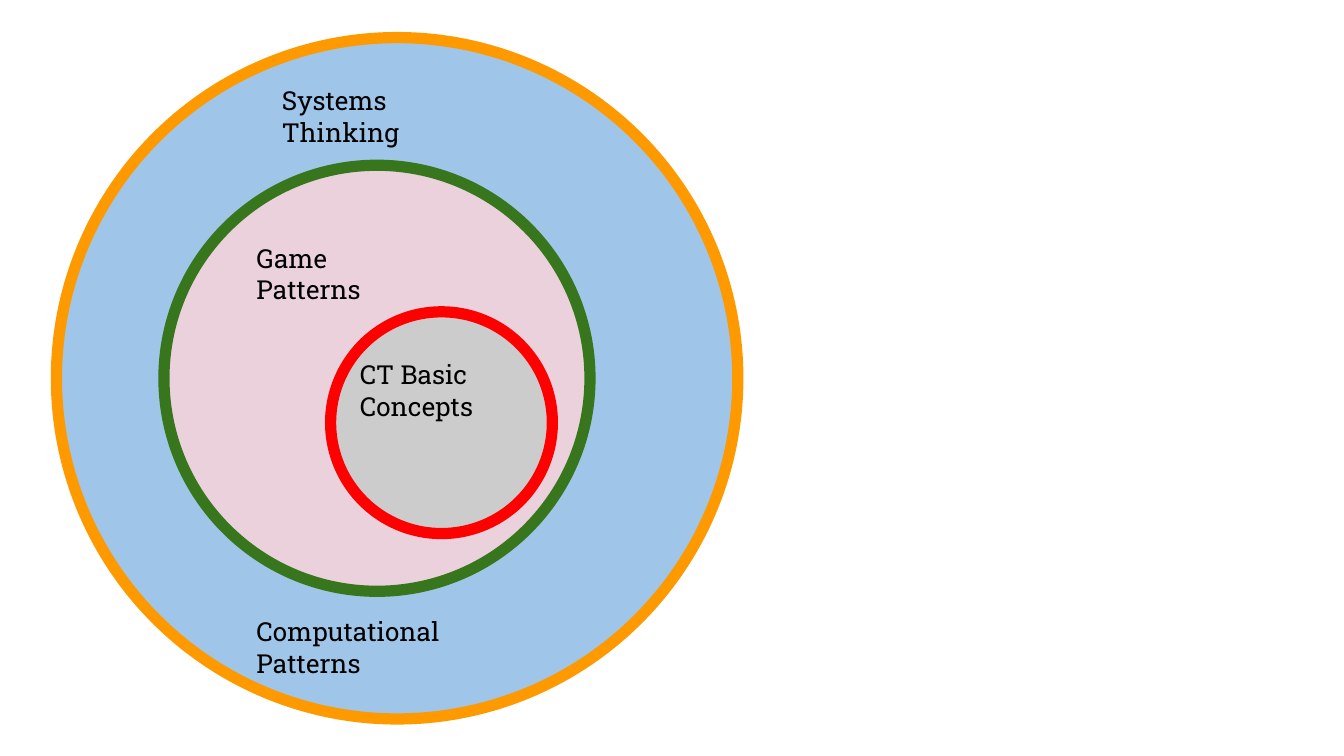
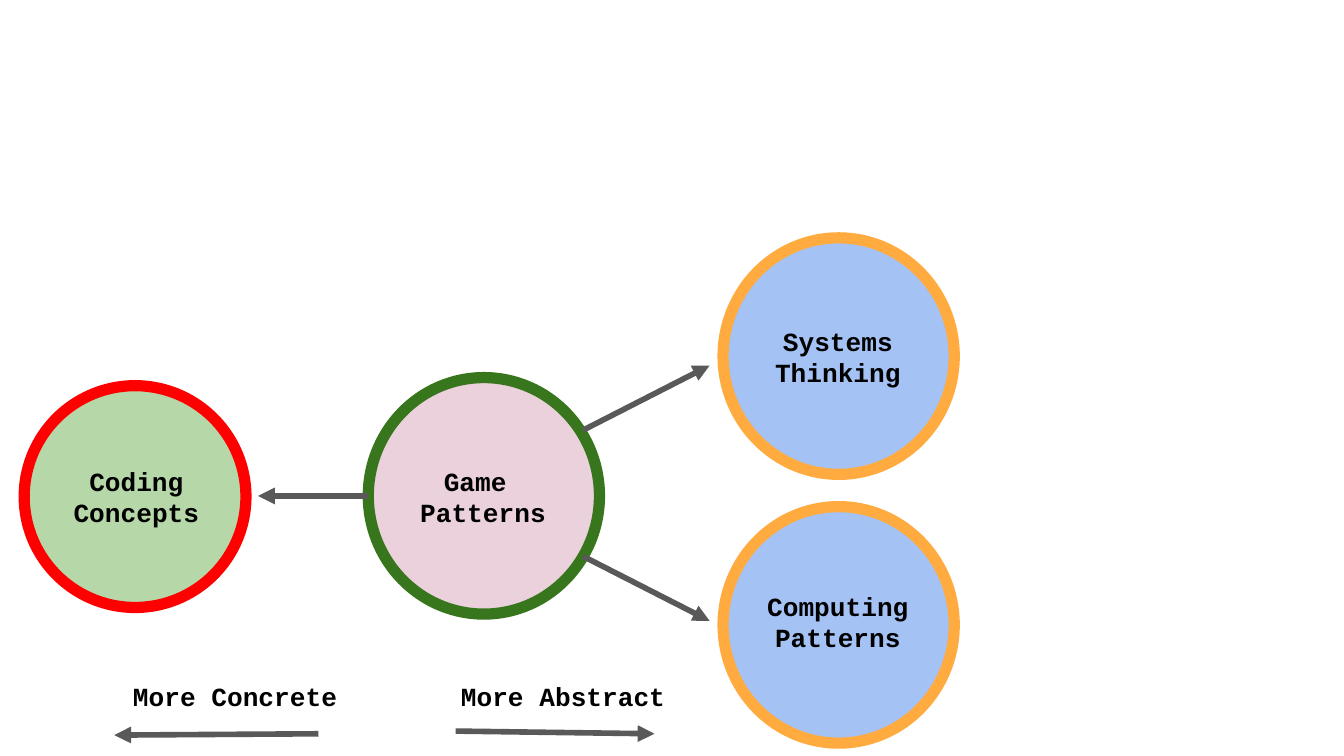
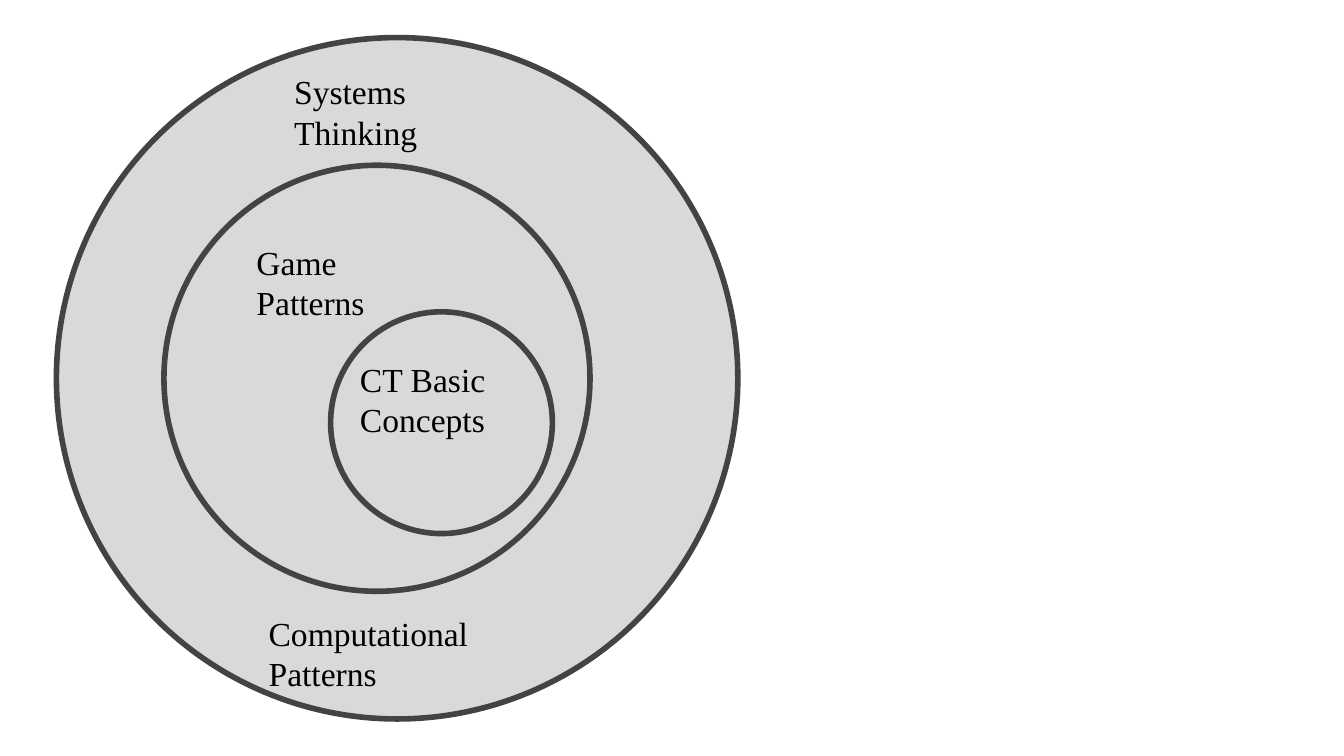
"""Build three slides on layers of computational thinking."""
from lxml import etree
from pptx import Presentation
from pptx.dml.color import RGBColor
from pptx.enum.shapes import MSO_CONNECTOR, MSO_SHAPE
from pptx.enum.text import MSO_ANCHOR, PP_ALIGN
from pptx.oxml.ns import qn
from pptx.util import Inches, Pt

OVAL, RECT = MSO_SHAPE.OVAL, MSO_SHAPE.RECTANGLE
LINE, TOP = MSO_CONNECTOR.STRAIGHT, MSO_ANCHOR.TOP
LEFT, CENTER = PP_ALIGN.LEFT, PP_ALIGN.CENTER

WIDE = 10
HIGH = WIDE * 9 / 16
HEX = {
    "black": "000000", "sky": "9FC5E8", "pink": "EAD1DC", "gray": "CCCCCC",
    "orange": "FF9900", "green": "38761D", "red": "FF0000", "leaf": "B6D7A8",
    "blue": "A4C2F4", "amber": "FFAB40", "slate": "595959",
    "pale": "D9D9D9", "dark": "434343",
}
SLAB = {"name": "Roboto Slab", "size": Pt(14)}
MONO = {"name": "Courier New", "size": Pt(14), "bold": True}
SERIF = {"name": "Times New Roman", "size": Pt(18)}

INSET = Inches(0.1)
FRAME = {
    "word_wrap": True, "vertical_anchor": TOP,
    "margin_left": INSET, "margin_right": INSET,
    "margin_top": INSET, "margin_bottom": INSET,
}
NEST = [(0.42, 0.28, 5.07), (1.22, 1.23, 3.17), (2.46, 2.32, 1.65)]
NODE = (1.72, 1.76)


def tint(name):
    """Return the named colour."""
    return RGBColor.from_string(HEX[name])


def apply(target, values):
    """Set each format value on the target."""
    for key, value in values.items():
        setattr(target, key, value)


def ring(shapes, box, fill, edge, width=6):
    """Add a filled circle with a coloured edge."""
    oval = shapes.add_shape(OVAL, *map(Inches, box))
    oval.shadow.inherit = False
    oval.fill.solid()
    oval.fill.fore_color.rgb = tint(fill)
    oval.line.color.rgb = tint(edge)
    oval.line.width = Pt(width)


def label(shapes, box, text, style, align=LEFT, fill=None):
    """Add text, on a plain filled rectangle if a fill is given."""
    place = map(Inches, box)
    if fill:
        item = shapes.add_shape(RECT, *place)
        item.shadow.inherit = False
        item.fill.solid()
        item.fill.fore_color.rgb = tint(fill)
        item.line.fill.background()
    else:
        item = shapes.add_textbox(*place)
    frame = item.text_frame
    apply(frame, FRAME)
    frame.text = text
    for para in frame.paragraphs:
        para.alignment = align
        for run in para.runs:
            apply(run.font, style)
            run.font.color.rgb = tint("black")


def arrow(shapes, tip, end):
    """Add a line with a triangle at its tip."""
    link = shapes.add_connector(LINE, *map(Inches, tip + end))
    link.line.color.rgb = tint("slate")
    link.line.width = Pt(3)
    props = link._element.spPr
    etree.SubElement(props.find(qn("a:ln")), qn("a:headEnd"), type="triangle")
    etree.SubElement(props, qn("a:effectLst"))


def nested(slide, skins, width, style, outer, lower):
    """Draw three nested circles and their four labels."""
    shapes = slide.shapes
    for (left, top, size), (fill, edge) in zip(NEST, skins):
        ring(shapes, (left, top, size, size), fill, edge, width)
    label(shapes, outer + (1.43, 1.03), "Systems \vThinking", style)
    for spot, text in [
        (lower, "Computational Patterns"),
        ((1.81, 1.7), "Game \vPatterns"),
        ((2.58, 2.57), "CT Basic\vConcepts"),
    ]:
        label(shapes, spot + (1.81, 0.89), text, style)


def node(slide, spot, drop, text, fill, edge, back=None):
    """Draw a grouped circle with a centred label."""
    left, top = spot
    shapes = slide.shapes.add_group_shape().shapes
    ring(shapes, spot + NODE, fill, edge)
    box = (left + 0.14, top + drop, 1.43, 0.67)
    label(shapes, box, text, MONO, CENTER, back)


def graph(slide):
    """Draw the map from concrete to abstract ideas."""
    shapes = slide.shapes
    node(slide, (2.74, 2.81), 0.55, "Game \vPatterns", "pink", "green")
    ring(shapes, (0.18, 2.87, 1.65, 1.65), "leaf", "red")
    label(shapes, (0.37, 3.36, 1.29, 0.67), "Coding\vConcepts",
          MONO, CENTER, "leaf")
    for top, drop, text in [
        (3.77, 0.52, "Computing\nPatterns"),
        (1.77, 0.55, "Systems\nThinking"),
    ]:
        node(slide, (5.38, top), drop, text, "blue", "amber", "blue")
    for tip, end in [
        ((1.92, 3.69), (2.74, 3.69)),
        ((5.28, 2.72), (4.34, 3.2)),
        ((5.28, 4.62), (4.34, 4.14)),
        ((0.85, 5.47), (2.37, 5.46)),
        ((4.87, 5.46), (3.39, 5.44)),
    ]:
        arrow(shapes, tip, end)
    for left, text in [(0.71, "More Concrete"), (3.15, "More Abstract")]:
        label(shapes, (left, 4.96, 2.08, 0.48), text, MONO, CENTER)


def main():
    """Build and save the deck."""
    deck = Presentation()
    deck.slide_width, deck.slide_height = Inches(WIDE), Inches(HIGH)
    blank = deck.slide_layouts[6]
    first, second, third = [deck.slides.add_slide(blank) for _ in range(3)]
    skins = [("sky", "orange"), ("pink", "green"), ("gray", "red")]
    nested(first, skins, 6, SLAB, (2, 0.53), (1.81, 4.48))
    graph(second)
    nested(third, [("pale", "dark")] * 3, 3, SERIF, (2.09, 0.43), (1.9, 4.46))
    deck.save("out.pptx")


if __name__ == "__main__":
    main()
